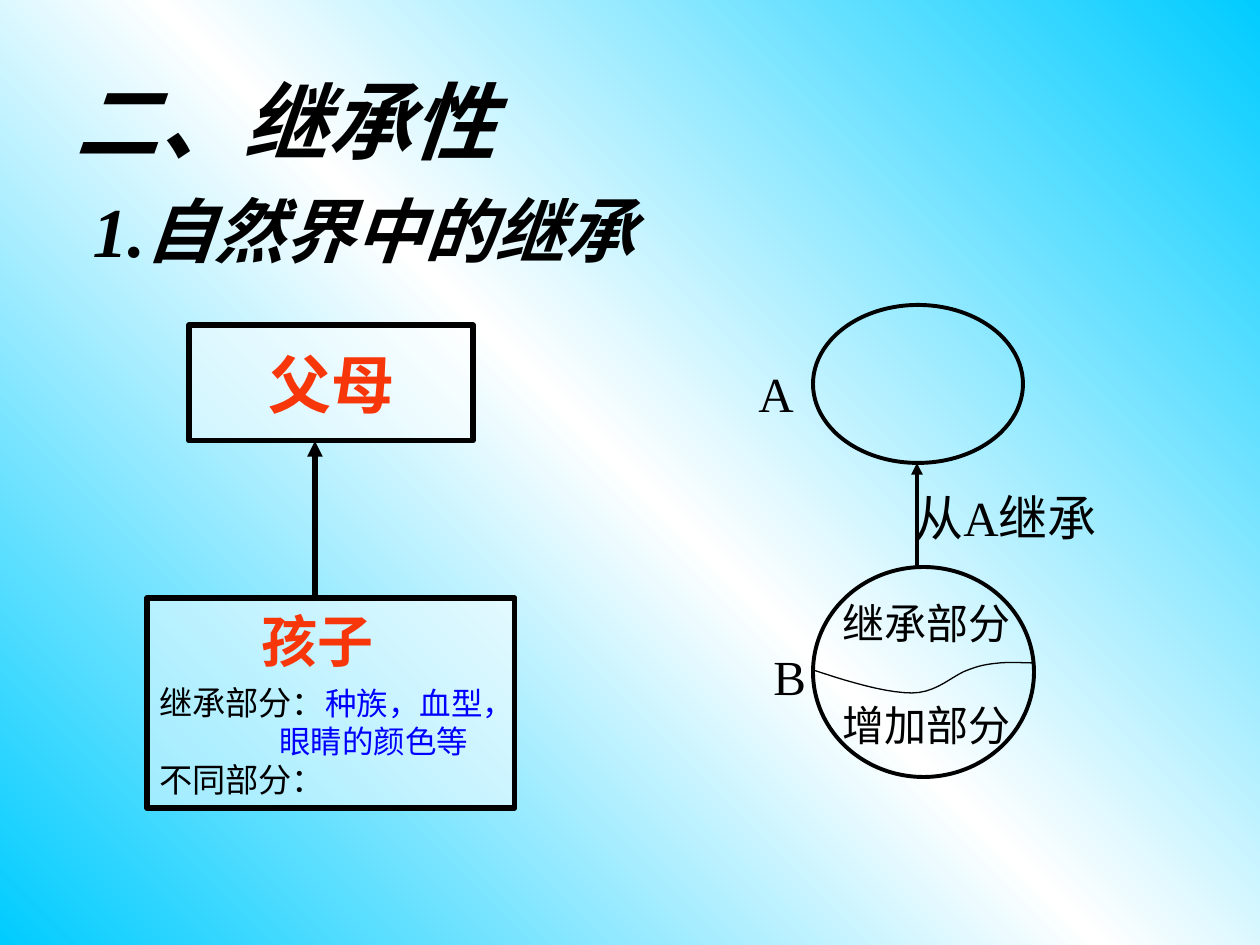
import copy
import pptx
import pptx.util
import pptx.dml.color
import pptx.enum.shapes
import pptx.enum.text
import pptx.oxml
import pptx.oxml.ns

PX = 914400 // 126
FONT = "Times New Roman"
COLORS = {"black": "000000", "white": "FFFFFF", "sky": "00CCFF", "red": "F73609", "blue": "0000FF"}
qn = pptx.oxml.ns.qn
SHAPES = pptx.enum.shapes.MSO_SHAPE
ALIGN = pptx.enum.text.PP_ALIGN
ANCHOR = pptx.enum.text.MSO_ANCHOR


def color(name):
    return pptx.dml.color.RGBColor.from_string(COLORS[name])


def add_text(para, text, size, tint="black", bold=False, italic=False):
    span = para.add_run()
    span.text = text
    span.font.name = FONT
    span.font.size = pptx.util.Pt(size)
    span.font.bold = bold
    span.font.italic = italic
    span.font.color.rgb = color(tint)


deck = pptx.Presentation()
deck.slide_width = 1260 * PX
deck.slide_height = 945 * PX
page = deck.slides.add_slide(deck.slide_layouts[5])

backdrop = page.background.fill
backdrop.gradient()
backdrop.gradient_angle = 225
for stop in backdrop.gradient_stops:
    stop.color.rgb = color("sky")
stop_list = page.element.find(".//" + qn("a:gsLst"))
stop_list.insert(1, copy.deepcopy(stop_list[0]))
for stop, place, name in zip(backdrop.gradient_stops, (0, 0.5, 1), ("sky", "white", "sky")):
    stop.position = place
    stop.color.rgb = color(name)

title = page.shapes.title
title.left, title.top, title.width, title.height = [n * PX for n in (63, 63, 777, 231)]
frame = title.text_frame
frame.word_wrap = True
frame.auto_size = pptx.enum.text.MSO_AUTO_SIZE.NONE
frame.vertical_anchor = ANCHOR.TOP
heading = frame.paragraphs[0]
subheading = frame.add_paragraph()
subheading.space_before = pptx.util.Pt(10)
subheading._p.get_or_add_pPr().set("marL", str(17 * PX))
for para, text, size in ((heading, "二、继承性", 48), (subheading, "1.自然界中的继承", 40)):
    para.alignment = ALIGN.LEFT
    add_text(para, text, size, bold=True, italic=True)

outlines = []
for kind, left, top, width, height, weight in (
    (SHAPES.RECTANGLE, 189, 325, 284, 116, 3),
    (SHAPES.RECTANGLE, 147, 598, 368, 210, 3),
    (SHAPES.OVAL, 813, 305, 210, 158, 2.25),
    (SHAPES.OVAL, 813, 567, 221, 210, 2.25),
):
    shape = page.shapes.add_shape(kind, left * PX, top * PX, width * PX, height * PX)
    shape.shadow.inherit = False
    shape.line.color.rgb = color("black")
    shape.line.width = pptx.util.Pt(weight)
    if kind == SHAPES.RECTANGLE:
        shape.fill.solid()
        shape.fill.fore_color.rgb = color("white")
        tint = shape._element.spPr.find(qn("a:solidFill"))[0]
        pptx.oxml.ns  
        alpha = tint.makeelement(qn("a:alpha"), {"val": "50000"})
        tint.append(alpha)
        shape.text_frame.word_wrap = False
        shape.text_frame.vertical_anchor = ANCHOR.MIDDLE
    else:
        shape.fill.background()
    outlines.append(shape)
parents, child = outlines[:2]

para = parents.text_frame.paragraphs[0]
para.alignment = ALIGN.CENTER
add_text(para, "父母", 36, "red", bold=True)

child_lines = (
    (102, 0, [("孩子", 32, "red", True)]),
    (0, 4.5, [("继承部分：", 19, "black", False), ("种族，血型，", 18, "blue", False)]),
    (120, 0, [("眼睛的颜色等", 18, "blue", False)]),
    (0, 0, [("不同部分：", 19, "black", False)]),
)
for index, (indent, gap, spans) in enumerate(child_lines):
    frame = child.text_frame
    para = frame.add_paragraph() if index else frame.paragraphs[0]
    para.alignment = ALIGN.LEFT
    if gap:
        para.space_before = pptx.util.Pt(gap)
    para._p.get_or_add_pPr().set("marL", str(indent * PX))
    for span in spans:
        add_text(para, *span)

for x, start, end, weight in ((315, 598, 441, 3), (917, 567, 463, 2.25)):
    arrow = page.shapes.add_connector(
        pptx.enum.shapes.MSO_CONNECTOR.STRAIGHT, x * PX, start * PX, x * PX, end * PX)
    arrow.line.color.rgb = color("black")
    arrow.line.width = pptx.util.Pt(weight)
    line = arrow.line._get_or_add_ln()
    line.append(line.makeelement(qn("a:tailEnd"), {"type": "triangle"}))
    properties = arrow._element.spPr
    properties.append(properties.makeelement(qn("a:effectLst"), {}))

wave = [(813, 670), (849, 682), (886, 693), (912, 693), (937, 693), (953, 675), (968, 670),
        (981, 665), (989, 664), (1000, 663), (1012, 662), (1026, 663), (1034, 663)]
points = []
for first in range(0, len(wave) - 1, 3):
    for step in range(1, 11):
        t = step / 10
        weights = ((1 - t) ** 3, 3 * t * (1 - t) ** 2, 3 * t * t * (1 - t), t ** 3)
        points.append(tuple(
            round(sum(w * point[axis] * PX for w, point in zip(weights, wave[first:first + 4])))
            for axis in (0, 1)))
builder = page.shapes.build_freeform(wave[0][0] * PX, wave[0][1] * PX)
builder.add_line_segments(points, close=False)
divider = builder.convert_to_shape()
divider.shadow.inherit = False
divider.fill.background()
divider.line.color.rgb = color("black")
divider.line.width = pptx.util.Pt(0.75)

for text, size, left, top, width, height in (
    ("A", 28, 746, 357, 60, 72),
    ("B", 28, 761, 640, 58, 72),
    ("继承部分", 24, 830, 591, 193, 63),
    ("增加部分", 24, 830, 693, 193, 63),
    ("从A继承", 28, 902, 481, 231, 72),
):
    box = page.shapes.add_textbox(left * PX, top * PX, width * PX, height * PX)
    box.text_frame.word_wrap = text == "B"
    box.text_frame.auto_size = pptx.enum.text.MSO_AUTO_SIZE.SHAPE_TO_FIT_TEXT
    add_text(box.text_frame.paragraphs[0], text, size)

deck.save("out.pptx")
